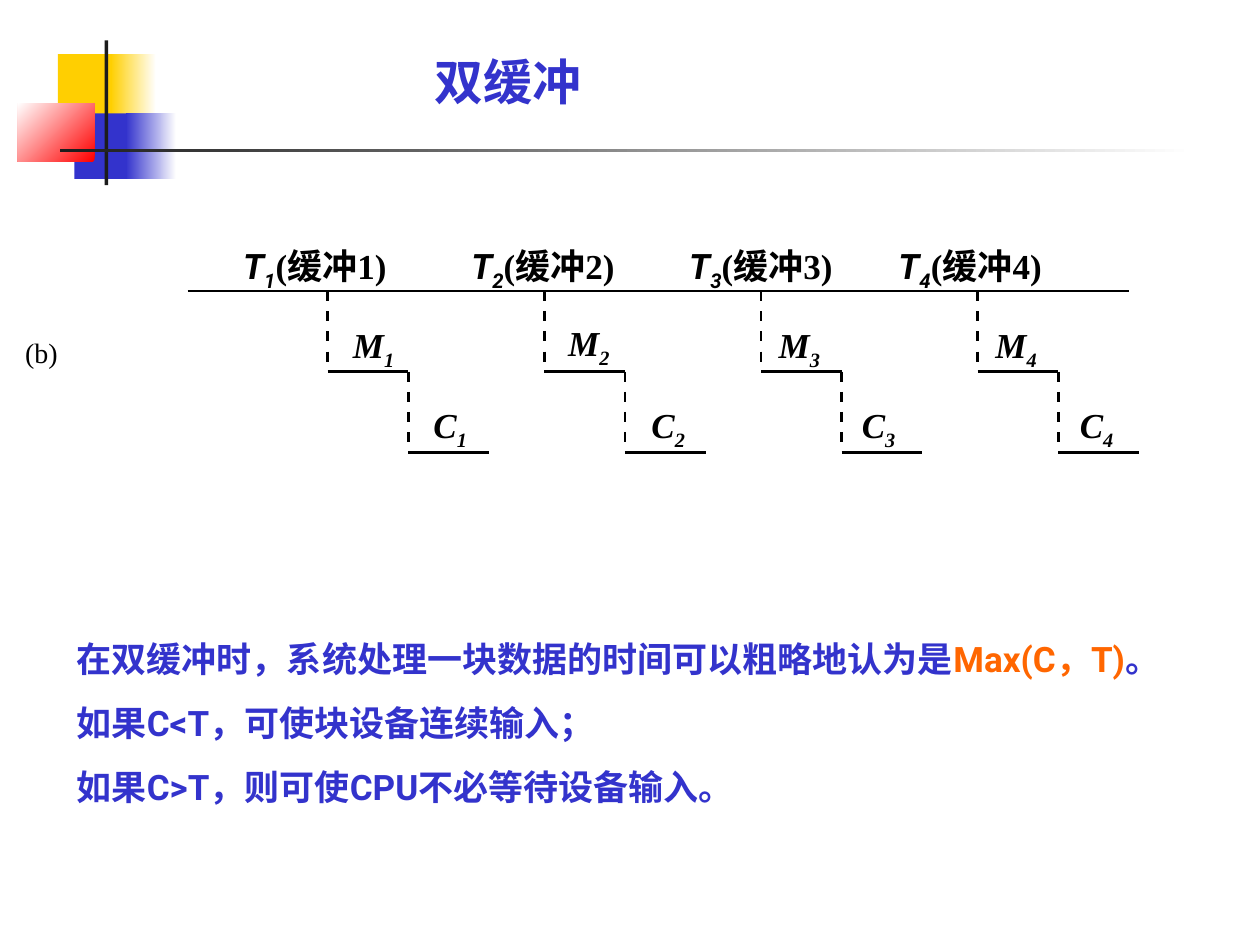
from lxml import etree
from pptx import Presentation
from pptx.dml.color import RGBColor
from pptx.enum import shapes, text
from pptx.oxml.ns import qn
from pptx.util import Inches, Pt

CJK, SANS, SERIF = "Noto Sans CJK SC", "Roboto", "Times New Roman"
BLUE, ORANGE, BLACK, WHITE = "3333CC", "FF6600", "000000", "FFFFFF"
YELLOW, RED, DARK = "FFCF01", "FF0000", "1C1C1C"


def rgb(hex_color):
    return RGBColor.from_string(hex_color)


def add_rect(s, x, y, w, h, colors, angle=180):
    """Add a plain rectangle for one colour, a gradient one for two."""
    sp = s.shapes.add_shape(shapes.MSO_SHAPE.RECTANGLE,
                            Inches(x), Inches(y), Inches(w), Inches(h))
    sp.shadow.inherit = False
    sp.line.fill.background()
    if len(colors) == 1:
        sp.fill.solid()
        sp.fill.fore_color.rgb = rgb(colors[0])
        return
    sp.fill.gradient()
    sp.fill.gradient_angle = angle
    for stop, position, color in zip(sp.fill.gradient_stops, (0, 1), colors):
        stop.position = position
        stop.color.rgb = rgb(color)


def add_line(s, x1, y1, x2, y2):
    line = s.shapes.add_connector(shapes.MSO_CONNECTOR.STRAIGHT,
                                  Inches(x1), Inches(y1), Inches(x2), Inches(y2))
    line.line.color.rgb = rgb(BLACK)
    line.line.width = Pt(1.5)
    etree.SubElement(line._element.spPr, qn("a:effectLst"))


def add_text(s, x, y, w, h, wrap=True, inset=(0, 0)):
    tb = s.shapes.add_textbox(Inches(x), Inches(y), Inches(w), Inches(h))
    tf = tb.text_frame
    tf.word_wrap = wrap
    tf.auto_size = text.MSO_AUTO_SIZE.SHAPE_TO_FIT_TEXT
    tf.margin_left = tf.margin_right = Inches(inset[0])
    tf.margin_top = tf.margin_bottom = Inches(inset[1])
    return tf


def add_run(p, words, font, size=20, color=BLACK, bold=True, italic=False, sub=False):
    r = p.add_run()
    r.text = words
    r.font.name = font
    r.font.size = Pt(size)
    r.font.bold = bold
    r.font.italic = italic
    r.font.color.rgb = rgb(color)
    rPr = r._r.get_or_add_rPr()
    etree.SubElement(rPr, qn("a:ea"), typeface=CJK)
    if sub:
        rPr.set("baseline", "-25000")


def add_symbol(s, x, y, w, h, letter, number, font=SERIF, wrap=False):
    """Add an italic letter with a subscript and return its paragraph."""
    p = add_text(s, x, y, w, h, wrap).paragraphs[0]
    add_run(p, letter, font, italic=True)
    add_run(p, str(number), font, italic=True, sub=True)
    return p


def add_ornament(s, x, y):
    add_rect(s, x + 0.32, y + 0.11, 0.48, 0.52, [YELLOW])
    add_rect(s, x + 0.74, y + 0.11, 0.36, 0.52, [WHITE, YELLOW])
    add_rect(s, x + 0.45, y + 0.58, 0.46, 0.52, [BLUE])
    add_rect(s, x + 0.86, y + 0.58, 0.4, 0.52, [WHITE, BLUE])
    add_rect(s, x, y + 0.5, 0.61, 0.46, [RED, WHITE], angle=135)
    add_rect(s, x + 0.69, y, 0.03, 1.15, [DARK])
    add_rect(s, x + 0.34, y + 0.86, 9, 0.03, [WHITE, DARK])


def add_title(s, x, y, w, h):
    tf = add_text(s, x, y, w, h, wrap=False, inset=(0.1, 0.05))
    add_run(tf.paragraphs[0], "双缓冲", SANS, size=28, color=BLUE)


def add_step(s, x, y, step):
    """Draw a dashed drop followed by a solid level line."""
    for i in range(4):
        top = y + i * step / 4
        add_line(s, x, top, x, top + step / 8)
    add_line(s, x, y + step, x + step, y + step)


def add_timeline(s, x, y):
    step, pitch = 0.64, 1.72
    add_line(s, x, y, x + 7.47, y)
    # Left offsets of the T, M and C labels, and the M label's rise
    labels = [(0.44, 1.31, 1.95, 0), (2.25, 3.02, 3.68, 0.02),
              (3.98, 4.69, 5.35, 0), (5.64, 6.41, 7.08, 0)]
    for i, (t_x, m_x, c_x, rise) in enumerate(labels):
        number = i + 1
        p = add_symbol(s, x + t_x, y - 0.37, 1.18, 0.71, "T", number, SANS, wrap=True)
        add_run(p, f"(缓冲{number})", SERIF)
        start = x + 1.11 + i * pitch
        add_step(s, start, y, step)
        add_step(s, start + step, y + step, step)
        add_symbol(s, x + m_x, y + 0.26 - rise, 0.33, 0.38, "M", number)
        add_symbol(s, x + c_x, y + 0.89, 0.27, 0.38, "C", number)


def add_figure_mark(s, x, y, w, h):
    p = add_text(s, x, y, w, h, wrap=False).paragraphs[0]
    add_run(p, "(b)", SERIF, size=16, bold=False)


def add_conclusion(s, x, y, w, h):
    lines = [
        [("在双缓冲时，系统处理一块数据的时间可以粗略地认为是", CJK, BLUE),
         ("Max(C", SANS, ORANGE), ("，", CJK, ORANGE), ("T)", SANS, ORANGE),
         ("。", CJK, BLUE)],
        [("如果", CJK, BLUE), ("C<T", SANS, BLUE), ("，可使块设备连续输入；", CJK, BLUE)],
        [("如果", CJK, BLUE), ("C>T", SANS, BLUE), ("，则可使", CJK, BLUE),
         ("CPU", SANS, BLUE), ("不必等待设备输入。", CJK, BLUE)],
    ]
    tf = add_text(s, x, y, w, h, inset=(0.1, 0.05))
    for i, runs in enumerate(lines):
        p = tf.add_paragraph() if i else tf.paragraphs[0]
        p.alignment = text.PP_ALIGN.JUSTIFY
        if i:
            p.space_before = Pt(12.5)
        for words, font, color in runs:
            add_run(p, words, font, color=color)


def main():
    prs = Presentation()
    prs.slide_width, prs.slide_height = Inches(10), Inches(7.5)
    s = prs.slides.add_slide(prs.slide_layouts[6])
    add_ornament(s, 0.14, 0.32)
    add_conclusion(s, 0.51, 5.01, 9.08, 1.78)
    add_title(s, 3.35, 0.36, 1.4, 0.57)
    add_timeline(s, 1.49, 2.31)
    add_figure_mark(s, 0.2, 2.66, 0.26, 0.27)
    prs.save("out.pptx")


if __name__ == "__main__":
    main()
